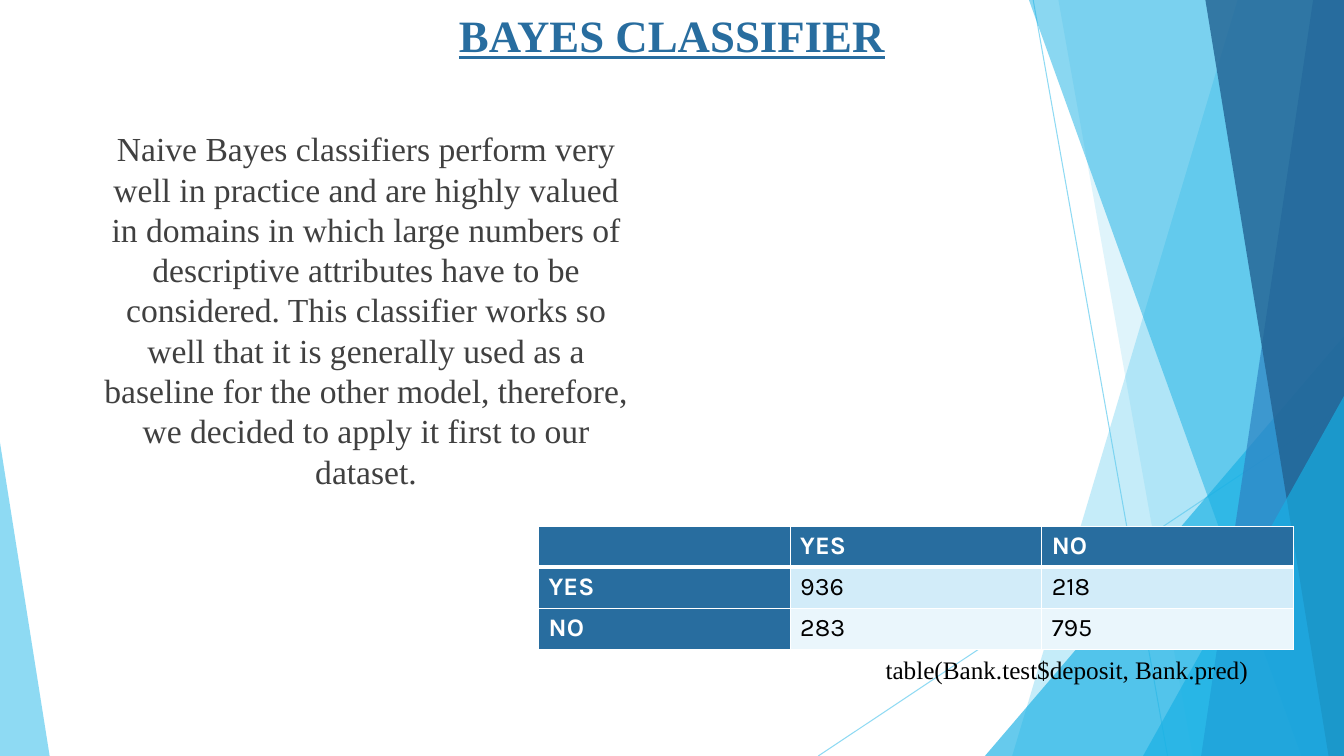
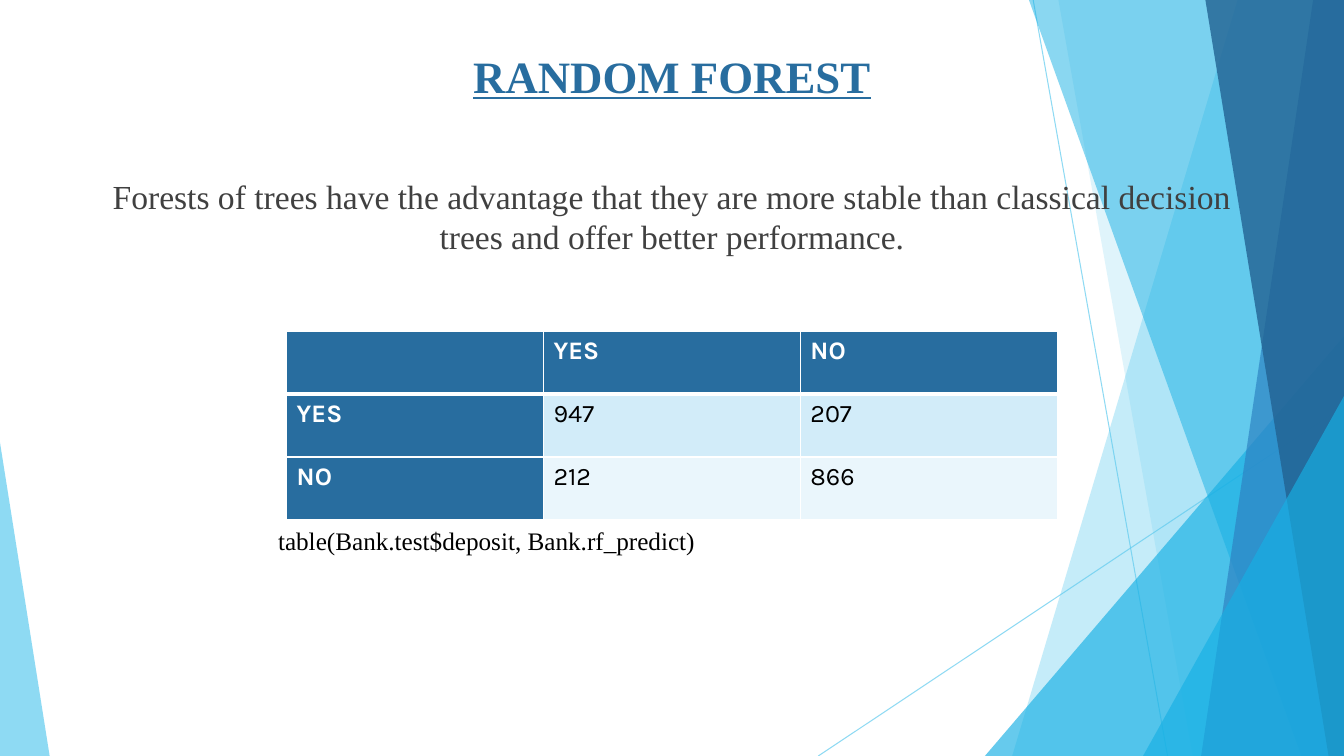
from dataclasses import dataclass
from typing import Any, NamedTuple

from lxml.etree import SubElement as Sub
from pptx import Presentation
from pptx.dml.color import RGBColor
from pptx.enum.shapes import MSO_CONNECTOR as Link, MSO_SHAPE as Form
from pptx.enum.text import MSO_ANCHOR as Anchor, PP_ALIGN as Align
from pptx.oxml.ns import qn
from pptx.util import Pt

WIDE, HIGH = 960, 540
WHITE, BLACK, GREY = "FFFFFF", "000000", "404040"
NAVY, SKY, AQUA = "286D9F", "5FCBEF", "17B0E4"
BLUE, DEEP = "2E83C3", "226292"
ROWS = ("D2ECF9", "EAF6FC")
SERIF, SANS = "Times New Roman", "Karla"


class Box(NamedTuple):
    left: float
    top: float
    width: float
    height: float


class Band(NamedTuple):
    top: float
    base: float
    hue: str
    alpha: int


class Peak(NamedTuple):
    box: Box
    tip: int
    hue: str
    alpha: int


class Style(NamedTuple):
    size: int
    hue: str
    font: str = SERIF
    bold: bool = False
    under: bool = False


@dataclass
class Page:
    title: str
    head: Box
    body: str
    text: Box
    grid: Box
    counts: tuple[tuple[int, int], tuple[int, int]]
    note: str
    foot: Box


RAYS = ((738, 0, 834, HIGH), (WIDE, 290, 584.5, HIGH))
DECOR = (
    Band(884, 723, SKY, 36),
    Band(756, 852, SKY, 20),
    Peak(Box(703.5, 240, 256.5, 300), 1, AQUA, 66),
    Band(735, 929.5, AQUA, 50),
    Band(938, 858, BLUE, 70),
    Band(861, 949, DEEP, 80),
    Peak(Box(816.5, 283, 143.5, 257), 1, AQUA, 66),
    Peak(Box(0, 316, 35.5, 224), 0, SKY, 70),
)
TITLE = Style(32, NAVY, bold=True, under=True)
BODY = Style(24, GREY)
NOTE = Style(18, BLACK)
LABEL = Style(18, WHITE, SANS, bold=True)
COUNT = Style(18, BLACK, SANS)

PAGES = (
    Page(
        "BAYES CLASSIFIER", Box(66, 2, 828, 104.5),
        "Naive Bayes classifiers perform very well in practice and are highly "
        "valued in domains in which large numbers of descriptive attributes "
        "have to be considered. This classifier works so well that it is "
        "generally used as a baseline for the other model, therefore, we "
        "decided to apply it first to our dataset.",
        Box(66, 88, 391, 404.5),
        Box(384.75, 376, 539, 87.75), ((936, 218), (283, 795)),
        "table(Bank.test$deposit, Bank.pred)", Box(625.5, 463.75, 334.5, 29),
    ),
    Page(
        "RANDOM FOREST", Box(66, 31, 828, 104.5),
        "Forests of trees have the advantage that they are more stable than "
        "classical decision trees and offer better performance.",
        Box(66, 121.75, 828, 342.5),
        Box(204.75, 236.5, 550.5, 135), ((947, 207), (212, 866)),
        "table(Bank.test$deposit, Bank.rf_predict)", Box(191.5, 371.5, 480, 29),
    ),
)


def tint(code: str) -> RGBColor:
    return RGBColor.from_string(code)


def fade(shape: Any, alpha: int) -> None:
    hue = shape.element.spPr.find(".//" + qn("a:srgbClr"))
    Sub(hue, qn("a:alpha"), val=str(alpha * 1000))


def paint(shape: Any, hue: str, alpha: int) -> None:
    shape.shadow.inherit = False
    shape.fill.solid()
    shape.fill.fore_color.rgb = tint(hue)
    fade(shape, alpha)
    shape.line.fill.background()


def add_ray(slide: Any, ends: tuple[float, ...]) -> None:
    ray = slide.shapes.add_connector(Link.STRAIGHT, *map(Pt, ends))
    ray.line.width = Pt(0.75)
    ray.line.color.rgb = tint(SKY)
    fade(ray, 70)
    Sub(ray.element.spPr, qn("a:effectLst"))


def add_band(slide: Any, band: Band) -> None:
    pen = slide.shapes.build_freeform(Pt(band.top), 0)
    rest = ((WIDE, 0), (WIDE, HIGH), (band.base, HIGH))
    pen.add_line_segments([(Pt(x), Pt(y)) for x, y in rest])
    paint(pen.convert_to_shape(), band.hue, band.alpha)


def add_peak(slide: Any, peak: Peak) -> None:
    shape = slide.shapes.add_shape(Form.ISOSCELES_TRIANGLE, *map(Pt, peak.box))
    shape.adjustments[0] = peak.tip
    paint(shape, peak.hue, peak.alpha)


def add_decor(slide: Any) -> None:
    for ends in RAYS:
        add_ray(slide, ends)
    for part in DECOR:
        if isinstance(part, Band):
            add_band(slide, part)
        else:
            add_peak(slide, part)


def write(frame: Any, text: str, style: Style) -> Any:
    frame.text = text
    line = frame.paragraphs[0]
    for run in line.runs:
        font = run.font
        font.size, font.name = Pt(style.size), style.font
        font.bold, font.underline = style.bold, style.under
        font.color.rgb = tint(style.hue)
    return line


def add_text(slide: Any, box: Box, text: str, style: Style,
             align: Align = Align.CENTER, gap: int = 0) -> None:
    frame = slide.shapes.add_textbox(*map(Pt, box)).text_frame
    frame.word_wrap = True
    frame.vertical_anchor = Anchor.TOP
    line = write(frame, text, style)
    line.alignment = align
    line.space_before = Pt(gap)


def add_edge(cell: Any, side: str, width: int) -> None:
    edge = Sub(cell._tc.get_or_add_tcPr(), qn("a:ln" + side), w=str(Pt(width)))
    fill = Sub(edge, qn("a:solidFill"))
    Sub(fill, qn("a:srgbClr"), val=WHITE)


def add_grid(slide: Any, page: Page) -> None:
    names = ("YES", "NO")
    data = [("", *names)] + [(n, *c) for n, c in zip(names, page.counts)]
    size = len(data)
    grid = slide.shapes.add_table(size, size, *map(Pt, page.grid)).table
    grid.first_row = grid.horz_banding = False
    for i in range(size):
        grid.columns[i].width = Pt(page.grid.width / size)
        grid.rows[i].height = Pt(page.grid.height / size)
    for r, row in enumerate(data):
        for c, value in enumerate(row):
            cell = grid.cell(r, c)
            head = r == 0 or c == 0
            write(cell.text_frame, str(value), LABEL if head else COUNT)
            for side in "LRTB":
                thick = (r, side) in ((0, "B"), (1, "T"))
                add_edge(cell, side, 3 if thick else 1)
            cell.fill.solid()
            cell.fill.fore_color.rgb = tint(NAVY if head else ROWS[r - 1])


def add_page(deck: Any, page: Page) -> None:
    slide = deck.slides.add_slide(deck.slide_layouts[6])
    add_decor(slide)
    add_text(slide, page.head, page.title, TITLE)
    add_text(slide, page.text, page.body, BODY, gap=10)
    add_grid(slide, page)
    add_text(slide, page.foot, page.note, NOTE, Align.LEFT)


def main() -> None:
    deck = Presentation()
    deck.slide_width, deck.slide_height = Pt(WIDE), Pt(HIGH)
    for page in PAGES:
        add_page(deck, page)
    deck.save("out.pptx")


if __name__ == "__main__":
    main()
